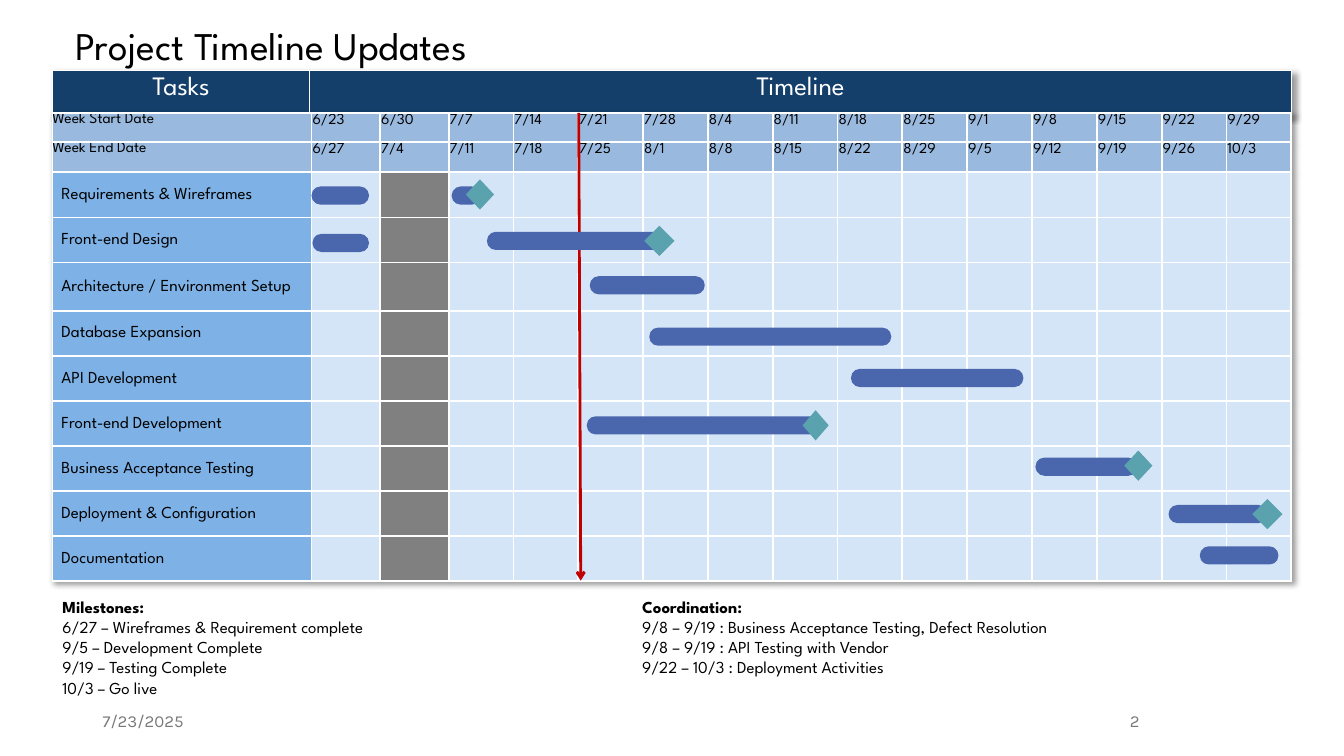
from lxml import etree
from pptx import Presentation
from pptx.dml.color import RGBColor
from pptx.enum.shapes import MSO_CONNECTOR, MSO_SHAPE
from pptx.enum.text import MSO_ANCHOR, PP_ALIGN
from pptx.oxml import parse_xml
from pptx.oxml.ns import nsdecls, qn
from pptx.util import Inches, Pt

BAR = MSO_SHAPE.ROUNDED_RECTANGLE
DIAMOND = MSO_SHAPE.FLOWCHART_DECISION
RECTANGLE = MSO_SHAPE.RECTANGLE
STRAIGHT = MSO_CONNECTOR.STRAIGHT
TOP, MIDDLE = MSO_ANCHOR.TOP, MSO_ANCHOR.MIDDLE
LEFT, CENTER, RIGHT = PP_ALIGN.LEFT, PP_ALIGN.CENTER, PP_ALIGN.RIGHT

MAIN_FONT, FOOTER_FONT = "League Spartan", "Karla"
COLORS = {
    "white": "FFFFFF", "black": "000000", "footer": "797979",
    "header": "143F6A", "week": "9AB9DE", "task": "7EB2E6",
    "open": "D4E5F7", "holiday": "808080", "bar": "4A66AC",
    "milestone": "5AA2AE", "today": "C00000",
}

WEEK_STARTS = "6/23 6/30 7/7 7/14 7/21 7/28 8/4 8/11 8/18 8/25 9/1 9/8 9/15 9/22 9/29".split()
WEEK_ENDS = "6/27 7/4 7/11 7/18 7/25 8/1 8/8 8/15 8/22 8/29 9/5 9/12 9/19 9/26 10/3".split()
HOLIDAY_COLUMN = 2
TASKS = [
    "Requirements & Wireframes", "Front-end Design",
    "Architecture / Environment Setup", "Database Expansion",
    "API Development", "Front-end Development",
    "Business Acceptance Testing", "Deployment & Configuration",
    "Documentation",
]
TALL_TASK = "Architecture / Environment Setup"

# Left, top and width of each work period
WORK_PERIODS = [
    (3.09, 1.85, 0.57), (4.48, 1.85, 0.29),
    (3.1, 2.32, 0.56), (4.83, 2.3, 1.73),
    (5.85, 2.74, 1.14), (6.44, 3.25, 2.4), (8.44, 3.66, 1.71),
    (5.82, 4.13, 2.3), (10.27, 4.54, 1.01),
    (11.59, 5.01, 0.98), (11.9, 5.42, 0.78),
]
# Left, top and width of each milestone
MILESTONES = [
    (4.62, 1.78, 0.28), (6.39, 2.24, 0.3), (7.96, 4.07, 0.26),
    (11.15, 4.47, 0.28), (12.42, 4.95, 0.3),
]

MILESTONE_NOTES = [
    "Milestones:", "6/27 – Wireframes & Requirement complete",
    "9/5 – Development Complete", "9/19 – Testing Complete", "10/3 – Go live",
]
COORDINATION_NOTES = [
    "Coordination:", "9/8 – 9/19 : Business Acceptance Testing, Defect Resolution",
    "9/8 – 9/19 : API Testing with Vendor", "9/22 – 10/3 : Deployment Activities",
]


def rgb(name):
    return RGBColor.from_string(COLORS[name])


def format_text(paragraph, size, color="black", font=MAIN_FONT, align=LEFT, bold=False):
    paragraph.alignment = align
    for run in paragraph.runs:
        run.font.size = Pt(size)
        run.font.name = font
        run.font.bold = bold
        run.font.color.rgb = rgb(color)


def add_title(slide, text):
    title = slide.shapes.title
    title.left, title.top = Inches(0.65), Inches(0.21)
    title.width, title.height = Inches(11.5), Inches(0.53)
    frame = title.text_frame
    frame.text = text
    frame.vertical_anchor = MIDDLE
    frame.paragraphs[0].line_spacing = 0.9
    format_text(frame.paragraphs[0], 28)


def add_footer(slide, left, width, text, align):
    frame = slide.shapes.add_textbox(
        Inches(left), Inches(6.95), Inches(width), Inches(0.4)).text_frame
    frame.word_wrap = True
    frame.vertical_anchor = MIDDLE
    frame.text = text
    frame.paragraphs[0].space_after = Pt(6)
    format_text(frame.paragraphs[0], 12, "footer", FOOTER_FONT, align)


def add_grid(slide, top, widths, heights):
    table = slide.shapes.add_table(
        len(heights), len(widths), Inches(0.52), Inches(top),
        Inches(sum(widths)), Inches(sum(heights))).table
    table.first_row = table.horz_banding = False
    for column, width in zip(table.columns, widths):
        column.width = Inches(width)
    for row, height in zip(table.rows, heights):
        row.height = Inches(height)
    # Soft shadow around the whole table
    table._tbl.tblPr.insert(0, parse_xml(
        f'<a:effectLst {nsdecls("a")}><a:outerShdw blurRad="50800" dist="38100" dir="2700000">'
        '<a:srgbClr val="000000"><a:alpha val="40000"/></a:srgbClr>'
        '</a:outerShdw></a:effectLst>'))
    return table


def fill_cell(cell, fill, text="", size=11, color="black", align=LEFT,
              anchor=TOP, insets=(0.01, 0.01, 0.01, 0)):
    cell.margin_left, cell.margin_top, cell.margin_right, cell.margin_bottom = map(Inches, insets)
    cell.vertical_anchor = anchor
    if text:
        cell.text_frame.text = text
        format_text(cell.text_frame.paragraphs[0], size, color, align=align)
    properties = cell._tc.get_or_add_tcPr()
    for side in ("lnL", "lnR", "lnT", "lnB"):
        properties.append(parse_xml(
            f'<a:{side} {nsdecls("a")} w="{Pt(1.5)}"><a:solidFill>'
            f'<a:srgbClr val="{COLORS["white"]}"/></a:solidFill></a:{side}>'))
    cell.fill.solid()
    cell.fill.fore_color.rgb = rgb(fill)


def add_header(slide):
    header = add_grid(slide, 0.7, [2.55, 9.74], [0.43])
    for column, label in enumerate(["Tasks", "Timeline"]):
        fill_cell(header.cell(0, column), "header", label, 19, "white", CENTER,
                  insets=(0.11, 0.06, 0.11, 0.06))


def add_schedule(slide):
    week_width = (12.29 - 2.57 - 2 * 0.68) / 13
    task_height = (4.65 - 0.29 - 0.3 - 0.48) / 8
    widths = [2.57, 0.68, 0.68] + [week_width] * 13
    heights = [0.29, 0.3] + [0.48 if task == TALL_TASK else task_height for task in TASKS]
    schedule = add_grid(slide, 1.12, widths, heights)

    # Week dates
    week_rows = [["Week Start Date"] + WEEK_STARTS, ["Week End Date"] + WEEK_ENDS]
    for row, labels in enumerate(week_rows):
        for column, label in enumerate(labels):
            insets = (0.01, 0.01, 0.01, 0) if column else (0, 0, 0, 0)
            fill_cell(schedule.cell(row, column), "week", label, insets=insets)

    # Tasks and their weeks
    for row, task in enumerate(TASKS, len(week_rows)):
        fill_cell(schedule.cell(row, 0), "task", task, 12, anchor=MIDDLE,
                  insets=(0.09, 0.01, 0.01, 0))
        for column in range(1, len(widths)):
            fill_cell(schedule.cell(row, column),
                      "holiday" if column == HOLIDAY_COLUMN else "open")


def add_filled(slide, kind, left, top, width, height, fill):
    shape = slide.shapes.add_shape(
        kind, Inches(left), Inches(top), Inches(width), Inches(height))
    shape.shadow.inherit = False
    shape.fill.solid()
    shape.fill.fore_color.rgb = rgb(fill)
    shape.line.fill.background()
    return shape


def add_today_arrow(slide):
    arrow = slide.shapes.add_connector(
        STRAIGHT, Inches(5.74), Inches(1.12), Inches(5.76), Inches(5.76))
    arrow.line.color.rgb = rgb("today")
    arrow.line.width = Pt(2)
    etree.SubElement(arrow.line._get_or_add_ln(), qn("a:tailEnd"), type="arrow")
    etree.SubElement(arrow._element.spPr, qn("a:effectLst"))


def write_notes(box, lines):
    frame = box.text_frame
    frame.word_wrap = True
    frame.vertical_anchor = TOP
    frame.text = "\n".join(lines)
    for index, paragraph in enumerate(frame.paragraphs):
        format_text(paragraph, 12, bold=index == 0)


def main():
    prs = Presentation()
    prs.slide_width, prs.slide_height = Inches(13.33), Inches(7.5)
    slide = prs.slides.add_slide(prs.slide_layouts[5])

    # Title and footer
    add_title(slide, "Project Timeline Updates")
    add_footer(slide, 0.92, 3, "7/23/2025", LEFT)
    add_footer(slide, 9.42, 1.98, "2", RIGHT)

    # Schedule
    add_header(slide)
    add_schedule(slide)

    # Notes below the schedule
    write_notes(add_filled(slide, RECTANGLE, 0.52, 5.87, 4.88, 1.11, "white"), MILESTONE_NOTES)
    write_notes(slide.shapes.add_textbox(
        Inches(6.27), Inches(5.87), Inches(6.18), Inches(1.11)), COORDINATION_NOTES)

    # Today, work periods and milestones
    add_today_arrow(slide)
    for left, top, width in WORK_PERIODS:
        add_filled(slide, BAR, left, top, width, 0.18, "bar").adjustments[0] = 0.49
    for left, top, width in MILESTONES:
        add_filled(slide, DIAMOND, left, top, width, 0.3, "milestone")

    prs.save("out.pptx")


if __name__ == "__main__":
    main()
